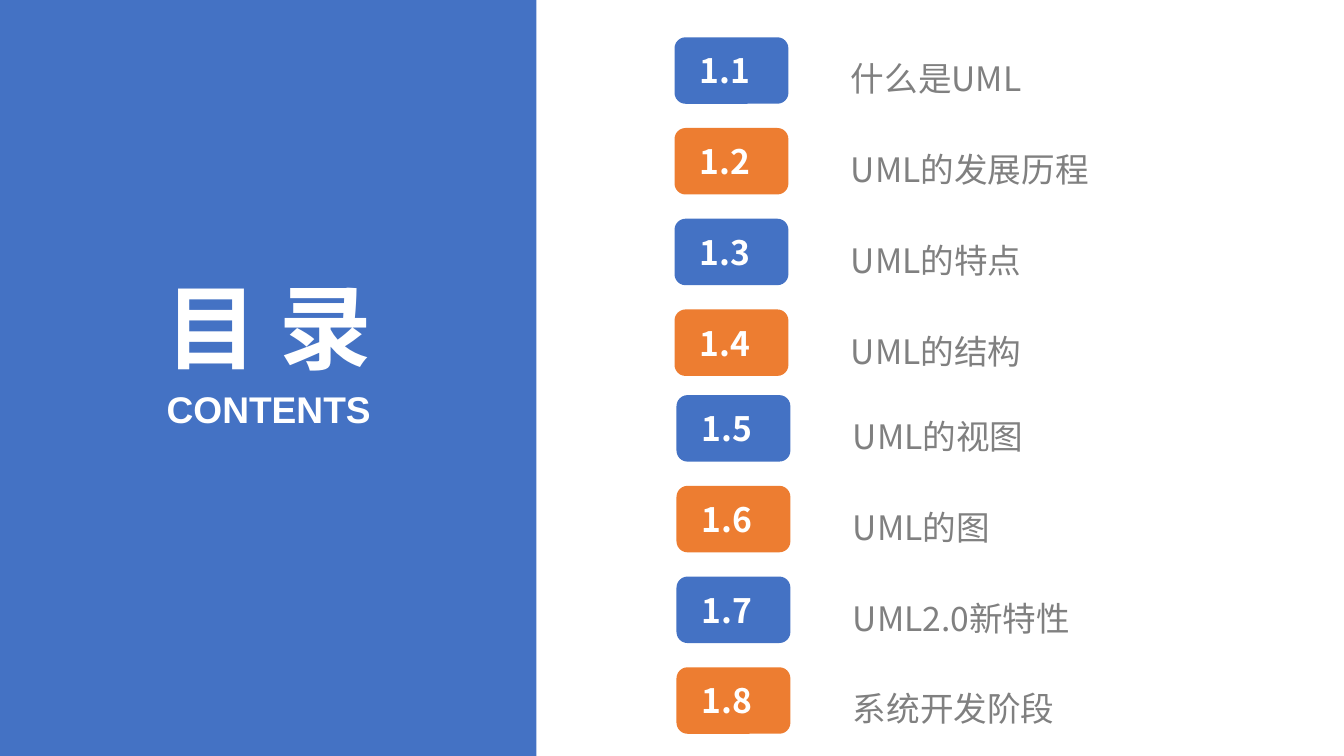
from lxml.etree import SubElement
from pptx import Presentation
from pptx.dml.color import RGBColor
from pptx.enum.shapes import MSO_SHAPE
from pptx.enum.text import MSO_ANCHOR, MSO_AUTO_SIZE, PP_ALIGN
from pptx.oxml.ns import qn
from pptx.util import Inches, Pt

BLUE = RGBColor(0x44, 0x72, 0xC4)
ORANGE = RGBColor(0xED, 0x7D, 0x31)
WHITE = RGBColor(0xFF, 0xFF, 0xFF)
GRAY = RGBColor(0x80, 0x80, 0x80)
HEADING_FONT = "Arial"
LIST_FONT = "Noto Sans CJK SC"
ROW_PITCH = 0.9

# Left and top of each group's first badge, then its entries
GROUPS = [
    (6.69, 0.37, ["什么是UML", "UML的发展历程", "UML的特点", "UML的结构"]),
    (6.71, 3.92, ["UML的视图", "UML的图", "UML2.0新特性", "系统开发阶段"]),
]


def add_run(paragraph, text, size, color, font_name, bold=False):
    run = paragraph.add_run()
    run.text = text
    font = run.font
    font.size, font.bold, font.name = Pt(size), bold, font_name
    font.color.rgb = color
    if font_name == LIST_FONT:
        east_asian = SubElement(run._r.get_or_add_rPr(), qn("a:ea"))
        east_asian.set("typeface", font_name)


def add_block(slide, preset, left, top, width, height, fill=None):
    """Add a preset shape without line or shadow, unfilled unless given a colour."""
    shape = slide.shapes.add_shape(
        preset, Inches(left), Inches(top), Inches(width), Inches(height))
    shape.shadow.inherit = False
    shape.line.fill.background()
    if fill is None:
        shape.fill.background()
    else:
        shape.fill.solid()
        shape.fill.fore_color.rgb = fill
    return shape


def write_heading(shape, text, size):
    """Fill a shape with one unwrapped, centred heading line."""
    frame = shape.text_frame
    frame.word_wrap = False
    frame.auto_size = MSO_AUTO_SIZE.SHAPE_TO_FIT_TEXT
    frame.vertical_anchor = MSO_ANCHOR.TOP
    frame.margin_left = frame.margin_right = 0
    frame.margin_top = frame.margin_bottom = 0
    paragraph = frame.paragraphs[0]
    paragraph.alignment = PP_ALIGN.CENTER
    add_run(paragraph, text, size, WHITE, HEADING_FONT, bold=True)


def add_heading_panel(slide):
    panel = add_block(slide, MSO_SHAPE.RECTANGLE, 0, 0, 5.32, 7.5, BLUE)
    title = slide.shapes.title
    title.element.addprevious(panel.element)
    title.left, title.top = Inches(1.61), Inches(2.68)
    title.width, title.height = Inches(2.11), Inches(1.11)
    write_heading(title, "目 录", 66)
    subtitle = slide.shapes.add_textbox(
        Inches(1.64), Inches(3.83), Inches(2.05), Inches(0.45))
    write_heading(subtitle, "CONTENTS", 26.5)


def add_number(slide, text, left, top):
    number = add_block(slide, MSO_SHAPE.OVAL, left, top, 1.04, 0.76)
    frame = number.text_frame
    frame.margin_left = frame.margin_right = Inches(0.07)
    frame.margin_top = frame.margin_bottom = Inches(0.04)
    frame.vertical_anchor = MSO_ANCHOR.MIDDLE
    paragraph = frame.paragraphs[0]
    paragraph.alignment = PP_ALIGN.CENTER
    add_run(paragraph, text, 24, WHITE, LIST_FONT, bold=True)


def add_entry_text(slide, text, left, top):
    box = slide.shapes.add_textbox(
        Inches(left), Inches(top), Inches(3.78), Inches(0.64))
    frame = box.text_frame
    frame.word_wrap = True
    frame.auto_size = MSO_AUTO_SIZE.SHAPE_TO_FIT_TEXT
    paragraph = frame.paragraphs[0]
    paragraph.line_spacing = 1.5
    paragraph.space_before = Pt(7.5)
    add_run(paragraph, text, 24, GRAY, LIST_FONT)


def add_entry(slide, number, text, left, top):
    """Add one contents row: coloured badge, section number and name."""
    color = BLUE if number % 2 else ORANGE
    add_block(slide, MSO_SHAPE.ROUNDED_RECTANGLE, left, top, 1.13, 0.66, color)
    add_number(slide, f"1.{number}", left - 0.02, top - 0.05)
    add_entry_text(slide, text, left + 1.65, top - 0.04)


def main():
    presentation = Presentation()
    presentation.slide_width = Inches(13.33)
    presentation.slide_height = Inches(7.5)
    slide = presentation.slides.add_slide(presentation.slide_layouts[5])
    add_heading_panel(slide)
    number = 1
    for left, first_top, entries in GROUPS:
        for row, text in enumerate(entries):
            add_entry(slide, number, text, left, first_top + row * ROW_PITCH)
            number += 1
    presentation.save("out.pptx")


if __name__ == "__main__":
    main()
